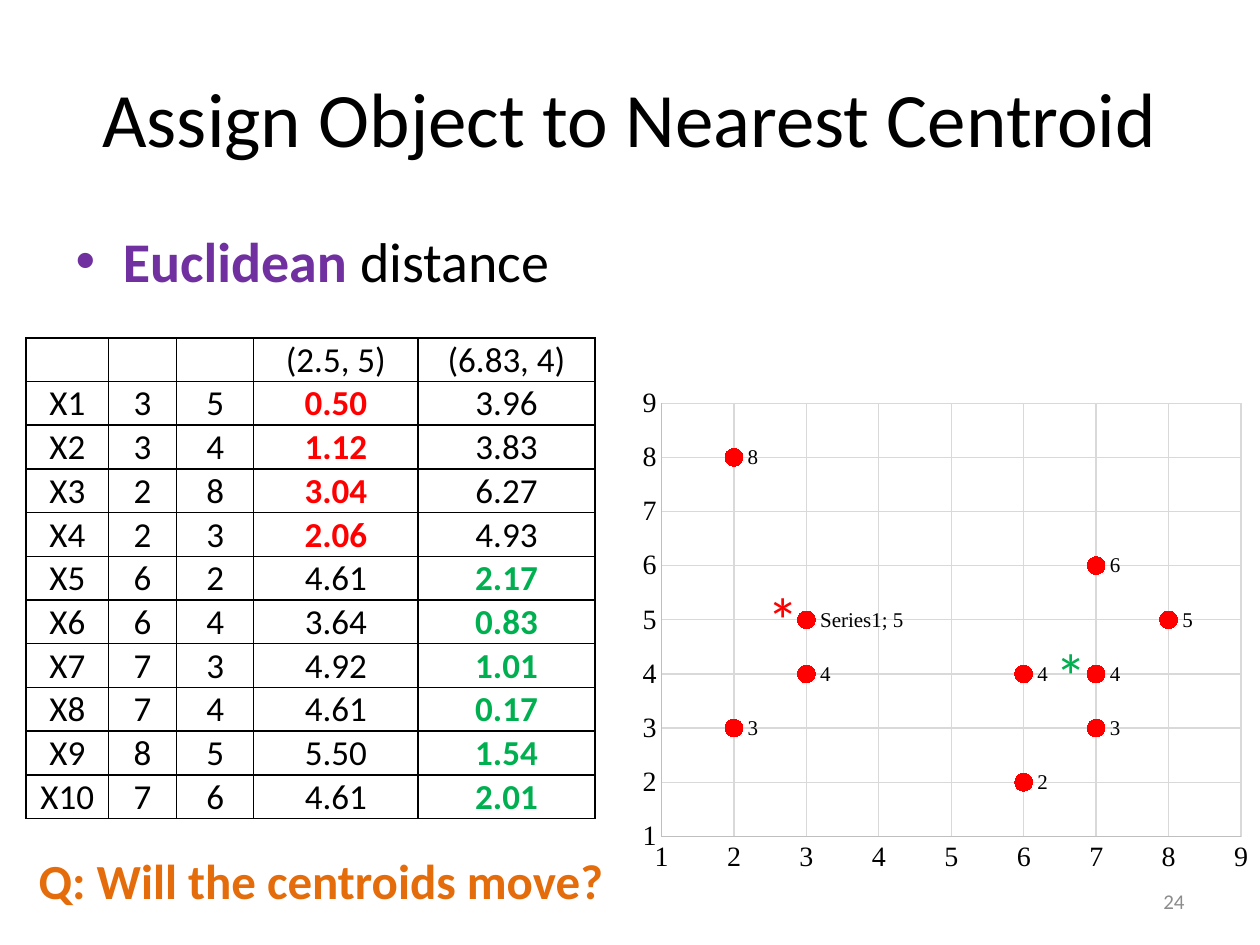
import pptx
import pptx.chart.data
import pptx.dml.color
import pptx.enum.chart
import pptx.enum.text
import pptx.oxml
import pptx.oxml.ns
import pptx.util
from lxml import etree

Pt = pptx.util.Pt
qn = pptx.oxml.ns.qn
Align = pptx.enum.text.PP_ALIGN
Anchor = pptx.enum.text.MSO_ANCHOR

# Content
TITLE = "Assign Object to Nearest Centroid"
BODY_RUNS = [("Euclidean ", "key"), ("distance", "body")]
CENTROIDS = ["(2.5, 5)", "(6.83, 4)"]
OBJECTS = [  # name, x, y, distance to each centroid
    ("X1", 3, 5, "0.50", "3.96"),
    ("X2", 3, 4, "1.12", "3.83"),
    ("X3", 2, 8, "3.04", "6.27"),
    ("X4", 2, 3, "2.06", "4.93"),
    ("X5", 6, 2, "4.61", "2.17"),
    ("X6", 6, 4, "3.64", "0.83"),
    ("X7", 7, 3, "4.92", "1.01"),
    ("X8", 7, 4, "4.61", "0.17"),
    ("X9", 8, 5, "5.50", "1.54"),
    ("X10", 7, 6, "4.61", "2.01"),
]
QUESTION = "Q: Will the centroids move?"
PAGE_NUMBER = "24"

# Look: every text style as size, bold, font and colour
THEME = {
    "title": {"size": 44, "color": "000000"},
    "body": {"size": 32, "color": "000000"},
    "key": {"size": 32, "color": "7030A0", "bold": True},
    "cell": {"size": 20, "color": "000000"},
    "near_first": {"size": 20, "color": "FF0000", "bold": True},
    "near_second": {"size": 20, "color": "00B050", "bold": True},
    "question": {"size": 28, "color": "E46C0A", "bold": True},
    "first_star": {"size": 36, "color": "FF0000"},
    "second_star": {"size": 36, "color": "00B050"},
    "page": {"size": 12, "color": "8C8C8C"},
    "axis": {"size": 16, "color": "000000", "name": "Times New Roman"},
    "label": {"size": 12, "color": "000000", "name": "Times New Roman"},
}
POINT_COLOR, AXIS_COLOR, GRID_COLOR, BORDER_COLOR = "FF0000", "BFBFBF", "D9D9D9", "000000"

# Layout in points: left, top, width, height
TITLE_BOX = (36, 21.6, 648, 90)
BODY_BOX = (36, 126, 648, 356.4)
CHART_BOX = (360, 216, 360, 288)
PLOT_AREA = {"x": 0.05, "y": 0.05, "w": 0.92, "h": 0.86}
TABLE_LEFT, TABLE_TOP, ROW_HEIGHT = 15, 193, 25
COLUMN_WIDTHS = [47, 39, 44, 94, 101]
TEXT_BOXES = [  # text, style, box, alignment, anchor, grows with its text
    (QUESTION, "question", (15, 482.4, 349, 41), Align.LEFT, Anchor.TOP, True),
    ("*", "first_star", (431.3, 328.3, 34, 51), Align.LEFT, Anchor.TOP, True),
    ("*", "second_star", (596.2, 360, 34, 51), Align.LEFT, Anchor.TOP, True),
    (PAGE_NUMBER, "page", (516, 500.4, 168, 28.8), Align.RIGHT, Anchor.MIDDLE, False),
]


def rgb(value):
    return pptx.dml.color.RGBColor.from_string(value)


def set_font(font, style):
    values = {"name": "Calibri", "bold": False, **THEME[style]}
    font.color.rgb = rgb(values.pop("color"))
    values["size"] = Pt(values["size"])
    for name, value in values.items():
        setattr(font, name, value)


def add_run(paragraph, text, style):
    run = paragraph.add_run()
    run.text = text
    set_font(run.font, style)


def place(shape, box):
    for name, value in zip(("left", "top", "width", "height"), box):
        setattr(shape, name, Pt(value))


def set_line(line, color, width=0.75):
    line.color.rgb = rgb(color)
    line.width = Pt(width)


def add_text_box(slide, text, style, box, alignment, anchor, grows):
    frame = slide.shapes.add_textbox(*map(Pt, box)).text_frame
    frame.word_wrap = not grows
    if grows:
        frame.auto_size = pptx.enum.text.MSO_AUTO_SIZE.SHAPE_TO_FIT_TEXT
    frame.vertical_anchor = anchor
    frame.paragraphs[0].alignment = alignment
    add_run(frame.paragraphs[0], text, style)


def add_borders(cell):
    properties = cell._tc.get_or_add_tcPr()
    for side in ("a:lnL", "a:lnR", "a:lnT", "a:lnB"):
        line = etree.SubElement(properties, qn(side), w=str(Pt(1)))
        fill = etree.SubElement(line, qn("a:solidFill"))
        etree.SubElement(fill, qn("a:srgbClr"), val=BORDER_COLOR)


def add_distance_table(slide):
    rows = [["", "", "", *CENTROIDS], *OBJECTS]
    table = slide.shapes.add_table(
        len(rows), len(COLUMN_WIDTHS), Pt(TABLE_LEFT), Pt(TABLE_TOP),
        Pt(sum(COLUMN_WIDTHS)), Pt(ROW_HEIGHT * len(rows))).table
    table.first_row = table.horz_banding = False
    for column, width in zip(table.columns, COLUMN_WIDTHS):
        column.width = Pt(width)
    margins = {"margin_left": 0.7, "margin_right": 0.7, "margin_top": 0.7, "margin_bottom": 0}
    for row_index, row in enumerate(rows):
        # The smaller of the two distances is highlighted
        styles = ["cell"] * 5
        if row_index:
            if float(row[3]) < float(row[4]):
                styles[3] = "near_first"
            else:
                styles[4] = "near_second"
        for column_index, (value, style) in enumerate(zip(row, styles)):
            cell = table.cell(row_index, column_index)
            add_borders(cell)
            cell.fill.background()
            cell.vertical_anchor = Anchor.BOTTOM
            for name, margin in margins.items():
                setattr(cell, name, Pt(margin))
            paragraph = cell.text_frame.paragraphs[0]
            paragraph.alignment = Align.CENTER
            if value != "":
                add_run(paragraph, str(value), style)


def add_scatter_chart(slide):
    data = pptx.chart.data.XyChartData()
    points = data.add_series("Series1")
    for _, x, y, *_ in OBJECTS:
        points.add_data_point(x, y)
    chart = slide.shapes.add_chart(
        pptx.enum.chart.XL_CHART_TYPE.XY_SCATTER, *map(Pt, CHART_BOX), data).chart
    chart.has_legend = chart.has_title = False
    set_font(chart.font, "axis")
    chart.plots[0].vary_by_categories = False

    # Axes and grid
    axis_format = {"minimum_scale": 1, "maximum_scale": 9, "major_unit": 1,
                   "has_major_gridlines": True,
                   "major_tick_mark": pptx.enum.chart.XL_TICK_MARK.NONE,
                   "minor_tick_mark": pptx.enum.chart.XL_TICK_MARK.NONE}
    for axis in (chart.category_axis, chart.value_axis):
        for name, value in axis_format.items():
            setattr(axis, name, value)
        set_font(axis.tick_labels.font, "axis")
        set_line(axis.format.line, AXIS_COLOR)
        set_line(axis.major_gridlines.format.line, GRID_COLOR)

    # Markers and their labels
    series = chart.plots[0].series[0]
    series.format.line.fill.background()
    series.marker.style = pptx.enum.chart.XL_MARKER_STYLE.CIRCLE
    series.marker.size = 10
    series.marker.format.fill.solid()
    series.marker.format.fill.fore_color.rgb = rgb(POINT_COLOR)
    set_line(series.marker.format.line, POINT_COLOR)
    for index in range(len(OBJECTS)):
        label = series.points[index].data_label
        set_font(label.font, "label")
        label.position = pptx.enum.chart.XL_LABEL_POSITION.RIGHT

    # The first label also names the series
    first_label = series._element.find(".//" + qn("c:dLbl"))
    first_label.find(qn("c:showSerName")).set("val", "1")
    etree.SubElement(first_label, qn("c:separator")).text = "; "

    # Fixed inner plot area
    plot_area = chart._chartSpace.find(".//" + qn("c:plotArea"))
    for layout in plot_area.findall(qn("c:layout")):
        plot_area.remove(layout)
    layout = etree.Element(qn("c:layout"))
    plot_area.insert(0, layout)
    manual = etree.SubElement(layout, qn("c:manualLayout"))
    settings = {"layoutTarget": "inner", "xMode": "edge", "yMode": "edge", **PLOT_AREA}
    for name, value in settings.items():
        etree.SubElement(manual, qn("c:" + name), val=str(value))


def main():
    presentation = pptx.Presentation()
    presentation.slide_width, presentation.slide_height = Pt(720), Pt(540)
    slide = presentation.slides.add_slide(presentation.slide_layouts[1])

    # Title and bullet
    title, body = slide.placeholders
    place(title, TITLE_BOX)
    add_run(title.text_frame.paragraphs[0], TITLE, "title")
    place(body, BODY_BOX)
    bullet = body.text_frame.paragraphs[0]
    bullet.space_before = Pt(0)
    for text, style in BODY_RUNS:
        add_run(bullet, text, style)

    # Chart below the centroid marks, then the table
    add_scatter_chart(slide)
    for text_box in TEXT_BOXES:
        add_text_box(slide, *text_box)
    add_distance_table(slide)
    presentation.save("out.pptx")


if __name__ == "__main__":
    main()
